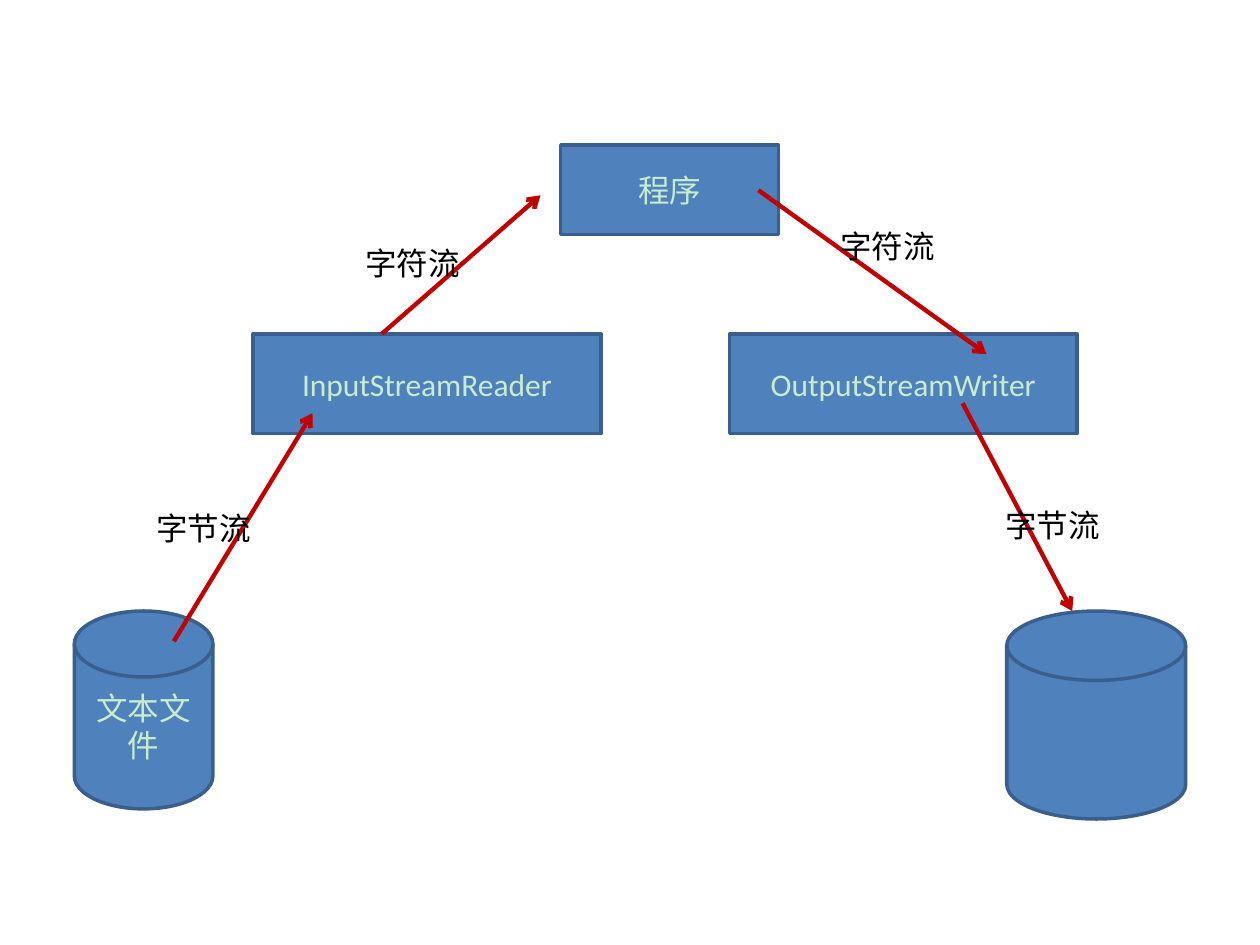
from pptx import Presentation
from pptx.dml.color import RGBColor
from pptx.enum.shapes import MSO_CONNECTOR, MSO_SHAPE
from pptx.enum.text import MSO_ANCHOR, MSO_AUTO_SIZE, PP_ALIGN
from pptx.oxml.ns import qn
from pptx.util import Inches, Pt
from lxml.etree import SubElement

BLUE = RGBColor(0x4F, 0x81, 0xBD)
DARK_BLUE = RGBColor(0x3A, 0x5F, 0x8C)
PALE_GREEN = RGBColor(0xC7, 0xED, 0xCC)
RED = RGBColor(0xC0, 0x00, 0x00)
BLACK = RGBColor(0x00, 0x00, 0x00)


class StreamDiagram:
    font_name = "Calibri"
    font_size = Pt(18)
    outline_width = Pt(2)
    arrow_width = Pt(2.5)

    def __init__(self, page):
        self.shapes = page.shapes

    def add_span(self, para, text, color):
        span = para.add_run()
        span.text = text
        span.font.name = self.font_name
        span.font.size = self.font_size
        span.font.color.rgb = color

    def node(self, kind, left, top, width, height, text=""):
        box = self.shapes.add_shape(
            kind, Inches(left), Inches(top), Inches(width), Inches(height))
        box.shadow.inherit = False
        box.fill.solid()
        box.fill.fore_color.rgb = BLUE
        box.line.color.rgb = DARK_BLUE
        box.line.width = self.outline_width
        if text:
            box.text_frame.word_wrap = True
            box.text_frame.vertical_anchor = MSO_ANCHOR.MIDDLE
            para = box.text_frame.paragraphs[0]
            para.alignment = PP_ALIGN.CENTER
            self.add_span(para, text, PALE_GREEN)

    def arrow(self, start, end):
        connector = self.shapes.add_connector(
            MSO_CONNECTOR.STRAIGHT, *map(Inches, start + end))
        connector.line.color.rgb = RED
        connector.line.width = self.arrow_width
        properties = connector.element.spPr
        SubElement(properties.find(qn("a:ln")), qn("a:tailEnd"), type="arrow")
        SubElement(properties, qn("a:effectLst"))

    def label(self, left, top, width, text):
        box = self.shapes.add_textbox(
            Inches(left), Inches(top), Inches(width), Inches(0.4))
        box.text_frame.word_wrap = True
        box.text_frame.auto_size = MSO_AUTO_SIZE.SHAPE_TO_FIT_TEXT
        self.add_span(box.text_frame.paragraphs[0], text, BLACK)


def main():
    deck = Presentation()
    deck.slide_width, deck.slide_height = Inches(10), Inches(7.5)
    diagram = StreamDiagram(deck.slides.add_slide(deck.slide_layouts[6]))

    disk, rectangle = MSO_SHAPE.FLOWCHART_MAGNETIC_DISK, MSO_SHAPE.RECTANGLE
    diagram.node(disk, 0.59, 4.85, 1.1, 1.57, "文本文件")
    diagram.node(disk, 7.99, 4.85, 1.42, 1.65)
    diagram.node(rectangle, 4.45, 1.15, 1.73, 0.71, "程序")
    for left, name in ((2.01, "InputStreamReader"), (5.79, "OutputStreamWriter")):
        diagram.node(rectangle, left, 2.65, 2.76, 0.79, name)

    for start, end in (
        ((1.38, 5.09), (2.48, 3.28)),
        ((3.03, 2.65), (4.29, 1.55)),
        ((6.02, 1.51), (7.83, 2.81)),
        ((7.64, 3.2), (8.51, 4.85)),
    ):
        diagram.arrow(start, end)

    for left, top, width, text in (
        (1.14, 3.99, 1.26, "字节流"),
        (2.8, 1.89, 1.5, "字符流"),
        (6.57, 1.75, 1.65, "字符流"),
        (7.88, 3.97, 1.26, "字节流"),
    ):
        diagram.label(left, top, width, text)

    deck.save("out.pptx")


if __name__ == "__main__":
    main()
